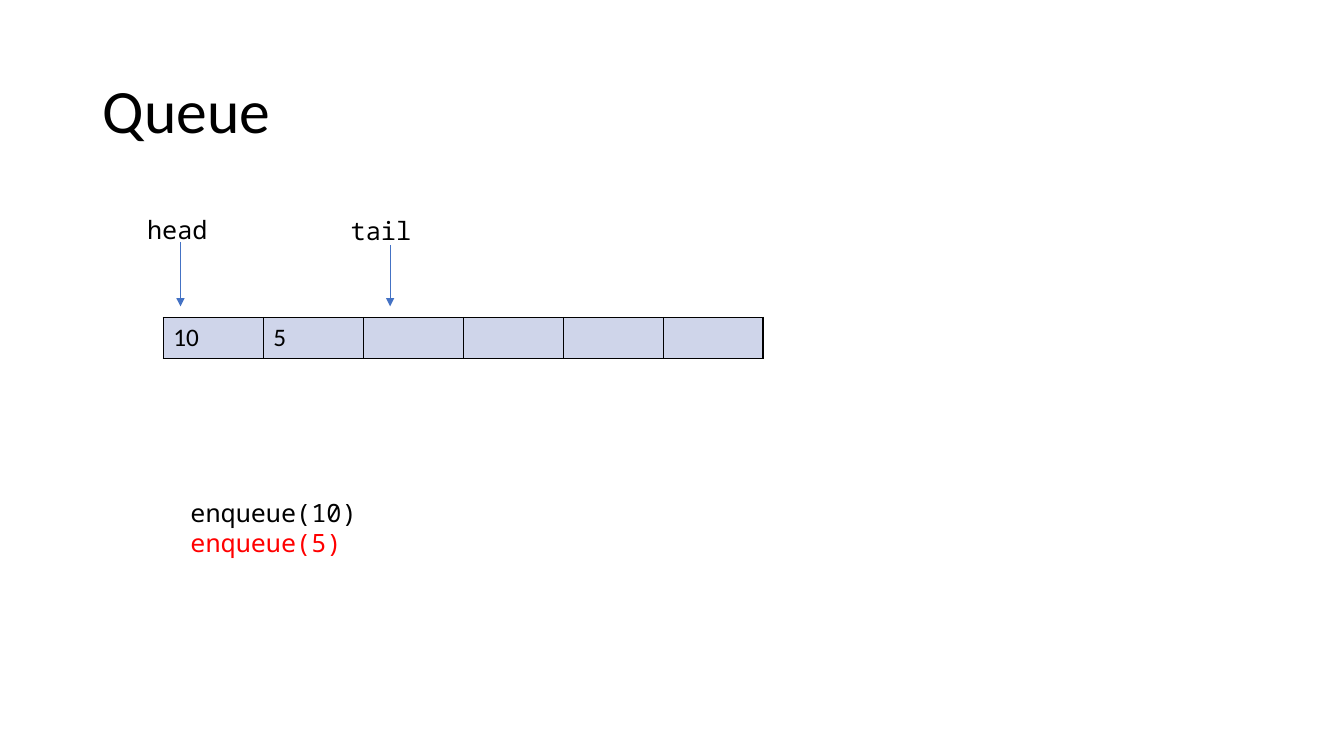
"""Build the slide that shows a queue after two enqueue calls."""
import pptx
import pptx.dml.color
import pptx.enum.shapes
import pptx.enum.text
import pptx.oxml.ns
import pptx.util
from lxml import etree

Inches = pptx.util.Inches
Pt = pptx.util.Pt
qn = pptx.oxml.ns.qn


def rgb(color):
    return pptx.dml.color.RGBColor.from_string(color)


def write(p, text, font="Calibri", size=18, color="000000"):
    r = p.add_run()
    r.text = text
    r.font.name = font
    r.font.size = Pt(size)
    r.font.color.rgb = rgb(color)


class QueueSlide:
    code_font = "Noto Sans Mono"
    cell_fill = "CFD5EA"
    border = "000000"
    arrow_color = "4472C4"

    def __init__(self, prs):
        self.s = prs.slides.add_slide(prs.slide_layouts[5])

    def title(self, text, x, y, w, h):
        sp = self.s.shapes.title
        sp.left, sp.top, sp.width, sp.height = map(Inches, (x, y, w, h))
        tf = sp.text_frame
        tf.vertical_anchor = pptx.enum.text.MSO_ANCHOR.MIDDLE
        p = tf.paragraphs[0]
        p.alignment = pptx.enum.text.PP_ALIGN.LEFT
        p.line_spacing = 0.9
        write(p, text, size=44)

    def code(self, lines, x, y, w, h):
        sp = self.s.shapes.add_textbox(*map(Inches, (x, y, w, h)))
        tf = sp.text_frame
        tf.word_wrap = True
        tf.auto_size = pptx.enum.text.MSO_AUTO_SIZE.SHAPE_TO_FIT_TEXT
        for i, (text, color) in enumerate(lines):
            p = tf.add_paragraph() if i else tf.paragraphs[0]
            write(p, text, font=self.code_font, color=color)

    def arrow(self, x, top, bottom):
        sp = self.s.shapes.add_connector(
            pptx.enum.shapes.MSO_CONNECTOR.STRAIGHT,
            *map(Inches, (x, top, x, bottom)))
        sp.line.color.rgb = rgb(self.arrow_color)
        sp.line.width = Pt(0.5)
        ln = sp.line._get_or_add_ln()
        etree.SubElement(ln, qn("a:tailEnd"), type="triangle")
        etree.SubElement(sp._element.spPr, qn("a:effectLst"))

    def cells(self, values, x, y, w, h):
        frame = self.s.shapes.add_table(
            1, len(values), *map(Inches, (x, y, w, h)))
        table = frame.table
        table.first_row = table.horz_banding = False
        for cell, value in zip(table.rows[0].cells, values):
            tcPr = cell._tc.get_or_add_tcPr()
            for side in ("lnL", "lnR", "lnT", "lnB"):
                ln = etree.SubElement(tcPr, qn(f"a:{side}"), w=str(Pt(1)))
                fill = etree.SubElement(ln, qn("a:solidFill"))
                etree.SubElement(fill, qn("a:srgbClr"), val=self.border)
            cell.fill.solid()
            cell.fill.fore_color.rgb = rgb(self.cell_fill)
            if value:
                write(cell.text_frame.paragraphs[0], value)


def main():
    prs = pptx.Presentation()
    prs.slide_width, prs.slide_height = Inches(13.33), Inches(7.5)
    slide = QueueSlide(prs)
    slide.title("Queue", 0.92, 0.4, 11.5, 1.45)
    slide.cells(["10", "5", "", "", "", ""], 1.62, 3.15, 5.95, 0.41)
    slide.arrow(3.87, 2.43, 3.04)
    slide.arrow(1.79, 2.4, 3.04)
    slide.code([("head", "000000")], 1.36, 2.08, 1.01, 0.4)
    slide.code([("tail", "000000")], 3.38, 2.09, 1.01, 0.4)
    slide.code([("enqueue(10)", "000000"), ("enqueue(5)", "FF0000")],
               1.79, 4.88, 3.7, 0.71)
    prs.save("out.pptx")


if __name__ == "__main__":
    main()
